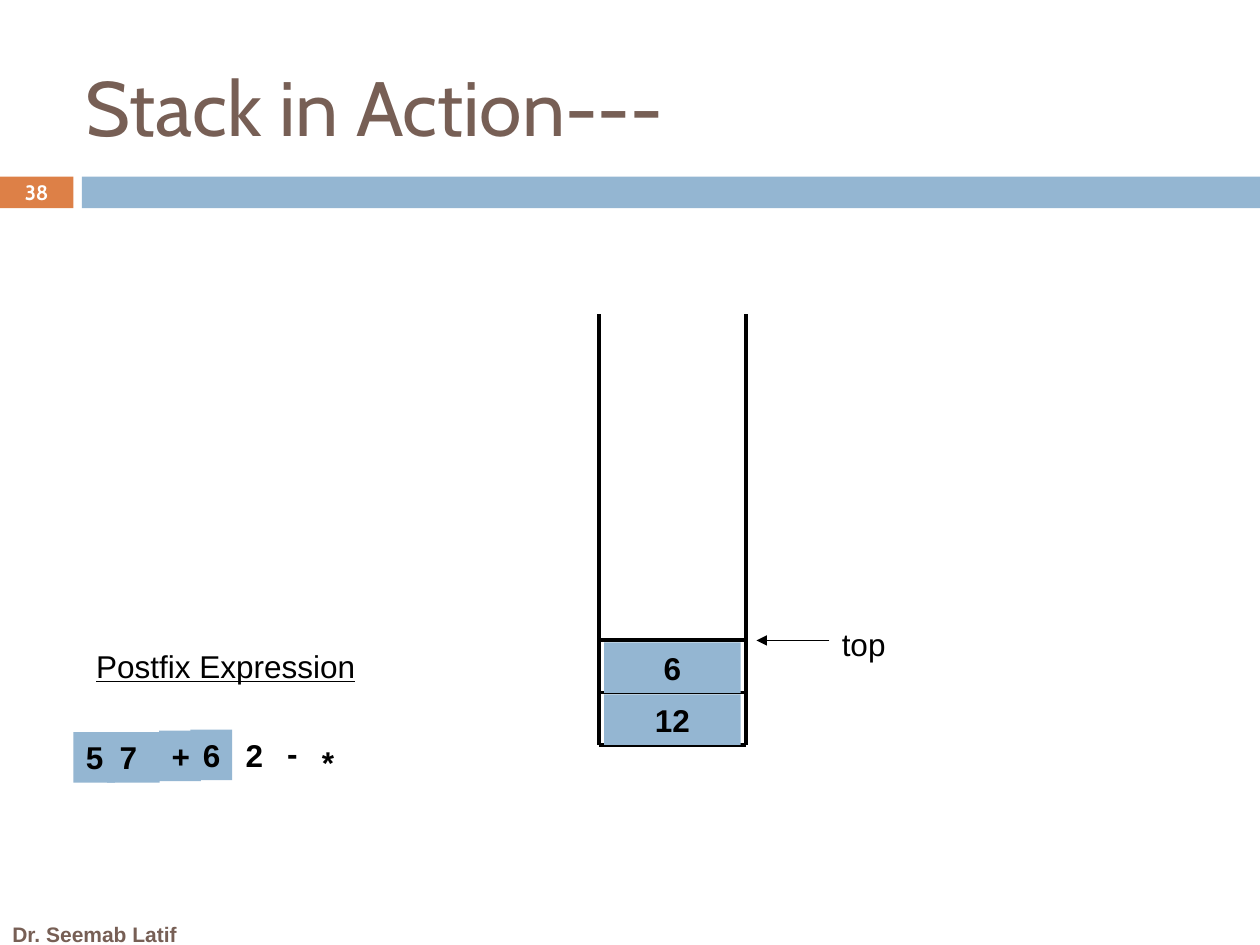
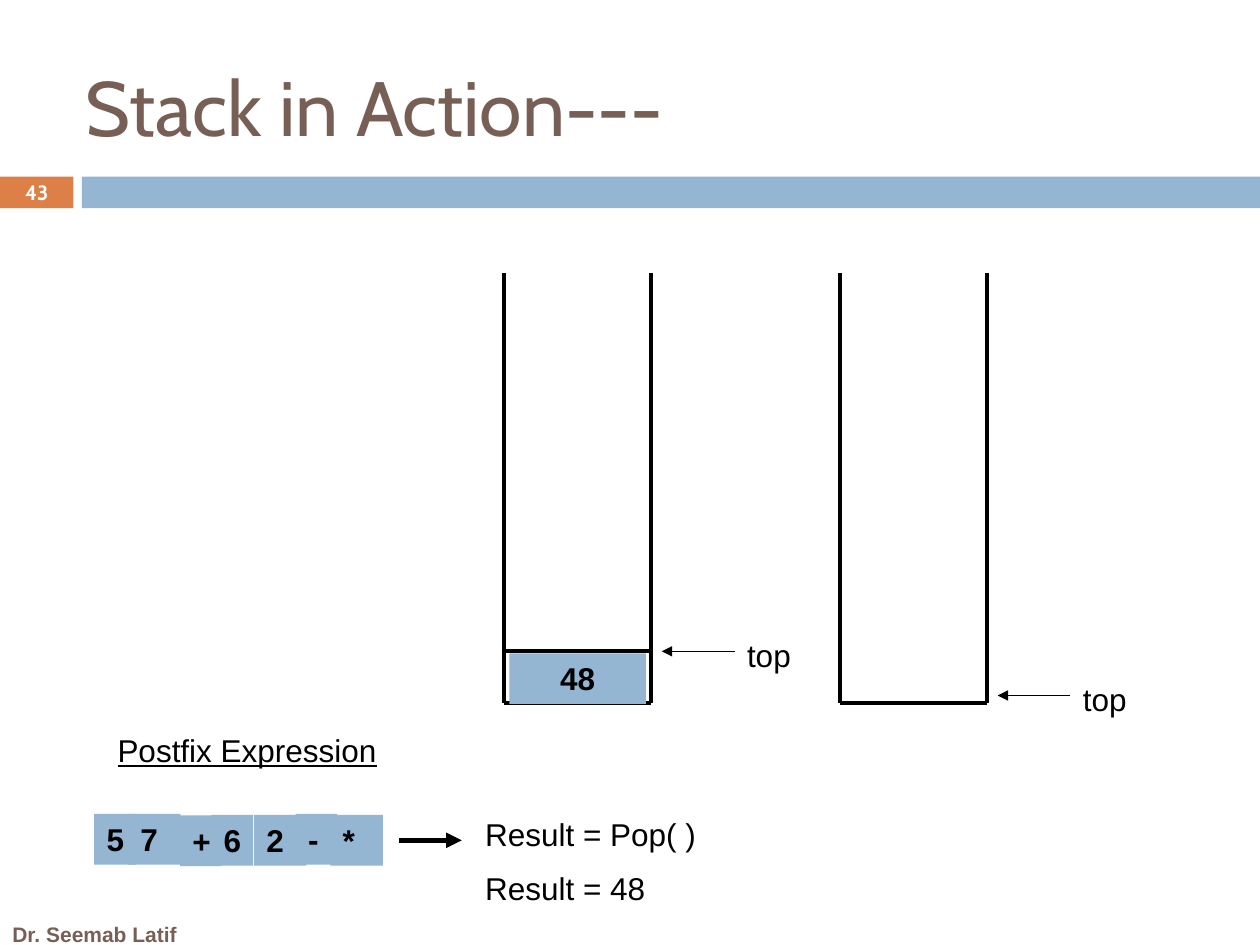
"""Build two slides that trace a stack evaluating a postfix expression."""
from dataclasses import dataclass

from lxml.etree import SubElement
from pptx import Presentation
from pptx.dml.color import RGBColor
from pptx.enum.shapes import MSO_CONNECTOR as Connector, MSO_SHAPE as Preset
from pptx.enum.text import MSO_ANCHOR as Anchor, PP_ALIGN as Align
from pptx.oxml.ns import qn
from pptx.slide import Slide
from pptx.util import Cm, Pt

COLORS = {
    "brown": "775F55",
    "orange": "DD8047",
    "blue": "94B6D2",
    "black": "000000",
    "white": "FFFFFF",
}
STACK_WIDTH, STACK_HEIGHT = 2.97, 8.68
CELL_PITCH, CELL_INSET, CELL_GAP = 1.05, 0.11, 0.04
ROW_HEIGHT = 1.02
EMPTY_TOP_RISE = 0.16


@dataclass(frozen=True)
class Box:
    left: float
    top: float
    width: float
    height: float = ROW_HEIGHT


@dataclass(frozen=True)
class Style:
    size: float = 18
    font: str = "Arial"
    color: str = "black"
    bold: bool = False
    underline: bool = False
    align: Align = Align.LEFT
    anchor: Anchor = Anchor.TOP


@dataclass(frozen=True)
class Token:
    symbol: str
    offset: float
    width: float


@dataclass(frozen=True)
class Stack:
    left: float
    top: float
    values: tuple[str, ...] = ()


@dataclass(frozen=True)
class Step:
    number: int
    stacks: tuple[Stack, ...]
    heading: tuple[float, float]
    tokens_left: float
    token_tops: tuple[float, ...]
    tokens_read: int
    results: tuple[str, ...] = ()


BODY = Style()
TOKEN = Style(bold=True)
VALUE = Style(bold=True, align=Align.CENTER)
HEADING = Style(underline=True)
TITLE = Style(44, "Cabin", "brown")
NUMBER = Style(11.9, "Cabin", "white", bold=True, align=Align.CENTER, anchor=Anchor.MIDDLE)
FOOTER = Style(12, color="brown", bold=True, anchor=Anchor.MIDDLE)

TOKENS = (
    Token("5", 0, 0.84),
    Token("7", 0.68, 1.06),
    Token("+", 1.73, 0.84),
    Token("6", 2.36, 0.84),
    Token("2", 3.22, 1.06),
    Token("-", 4.06, 0.84),
    Token("*", 4.76, 1.06),
)
STEPS = (
    Step(
        number=38,
        stacks=(Stack(12.07, 6.33, ("12", "6")),),
        heading=(1.69, 12.91),
        tokens_left=1.48,
        token_tops=(14.76, 14.76, 14.73, 14.71, 14.71, 14.68, 14.86),
        tokens_read=4,
    ),
    Step(
        number=43,
        stacks=(Stack(10.16, 5.5, ("48",)), Stack(16.93, 5.5)),
        heading=(2.12, 14.61),
        tokens_left=1.9,
        token_tops=(16.41, 16.41, 16.44, 16.43, 16.43, 16.41, 16.43),
        tokens_read=7,
        results=("Result = Pop( )", "Result = 48"),
    ),
)


def add_box(slide: Slide, box: Box, fill: str = "", text: str = "", style: Style = BODY) -> None:
    """Add a filled rectangle, or a text box when there is no fill."""
    place = [Cm(length) for length in (box.left, box.top, box.width, box.height)]
    if fill:
        shape = slide.shapes.add_shape(Preset.RECTANGLE, *place)
        shape.shadow.inherit = False
        shape.fill.solid()
        shape.fill.fore_color.rgb = RGBColor.from_string(COLORS[fill])
        shape.line.fill.background()
    else:
        shape = slide.shapes.add_textbox(*place)
    if not text:
        return
    frame = shape.text_frame
    frame.word_wrap = True
    frame.vertical_anchor = style.anchor
    paragraph = frame.paragraphs[0]
    paragraph.text = text
    paragraph.alignment = style.align
    font = paragraph.font
    font.name, font.size = style.font, Pt(style.size)
    font.bold, font.underline = style.bold, style.underline
    font.color.rgb = RGBColor.from_string(COLORS[style.color])


def add_line(slide: Slide, start: tuple[float, float], end: tuple[float, float],
             width: float = 2.25, arrow: bool = False) -> None:
    """Add a straight black line, with an arrowhead at its end if asked."""
    points = [Cm(length) for length in (*start, *end)]
    connector = slide.shapes.add_connector(Connector.STRAIGHT, *points)
    connector.line.width = Pt(width)
    connector.line.color.rgb = RGBColor.from_string(COLORS["black"])
    properties = connector.element.spPr
    if arrow:
        SubElement(properties.find(qn("a:ln")), qn("a:tailEnd"), type="triangle")
    SubElement(properties, qn("a:effectLst"))


def add_frame(slide: Slide, number: int) -> None:
    """Add the bands, title, slide number and footer."""
    add_box(slide, Box(0, 3.56, 1.48, 0.64), "orange")
    add_box(slide, Box(1.65, 3.56, 23.75, 0.64), "blue")
    add_box(slide, Box(0, 18.42, 4.65, 0.81), text="Dr. Seemab Latif", style=FOOTER)
    add_box(slide, Box(1.48, 1.07, 16.72, 2.13), text="Stack in Action---", style=TITLE)
    add_box(slide, Box(0, 3.53, 1.48, 0.69), text=str(number), style=NUMBER)


def add_stack(slide: Slide, stack: Stack) -> None:
    """Add an open stack with its values and its top pointer."""
    left, right = stack.left, stack.left + STACK_WIDTH
    bottom = stack.top + STACK_HEIGHT
    for side in (left, right):
        add_line(slide, (side, stack.top), (side, bottom))
    add_line(slide, (left, bottom), (right, bottom))
    pointer = bottom - EMPTY_TOP_RISE
    for level, value in enumerate(stack.values, start=1):
        pointer = bottom - level * CELL_PITCH
        add_line(slide, (left, pointer), (right, pointer))
        cell = Box(left + CELL_INSET, pointer + CELL_GAP, STACK_WIDTH - 2 * CELL_INSET)
        add_box(slide, cell, "blue", value, VALUE)
    label_left = left + 4.65
    add_line(slide, (label_left, pointer), (right + 0.21, pointer), 0.75, arrow=True)
    add_box(slide, Box(label_left, pointer - 0.43, 3.81), text="top")


def add_expression(slide: Slide, step: Step) -> None:
    """Add the postfix expression with the tokens already read highlighted."""
    add_box(slide, Box(*step.heading, 6.99), text="Postfix Expression", style=HEADING)
    for index, (token, top) in enumerate(zip(TOKENS, step.token_tops)):
        fill = "blue" if index < step.tokens_read else ""
        box = Box(step.tokens_left + token.offset, top, token.width)
        add_box(slide, box, fill, token.symbol, TOKEN)


def add_results(slide: Slide, results: tuple[str, ...]) -> None:
    """Add the arrow and the result lines beside the expression."""
    add_line(slide, (8.05, 16.94), (9.31, 16.94), 3, arrow=True)
    for row, result in enumerate(results):
        add_box(slide, Box(9.53, 16.31 + row * 1.09, 8.47), text=result)


def main() -> None:
    """Build and save the presentation."""
    presentation = Presentation()
    presentation.slide_width, presentation.slide_height = Cm(25.4), Cm(19.05)
    for step in STEPS:
        slide = presentation.slides.add_slide(presentation.slide_layouts[6])
        add_frame(slide, step.number)
        for stack in step.stacks:
            add_stack(slide, stack)
        add_expression(slide, step)
        if step.results:
            add_results(slide, step.results)
    presentation.save("out.pptx")


if __name__ == "__main__":
    main()
